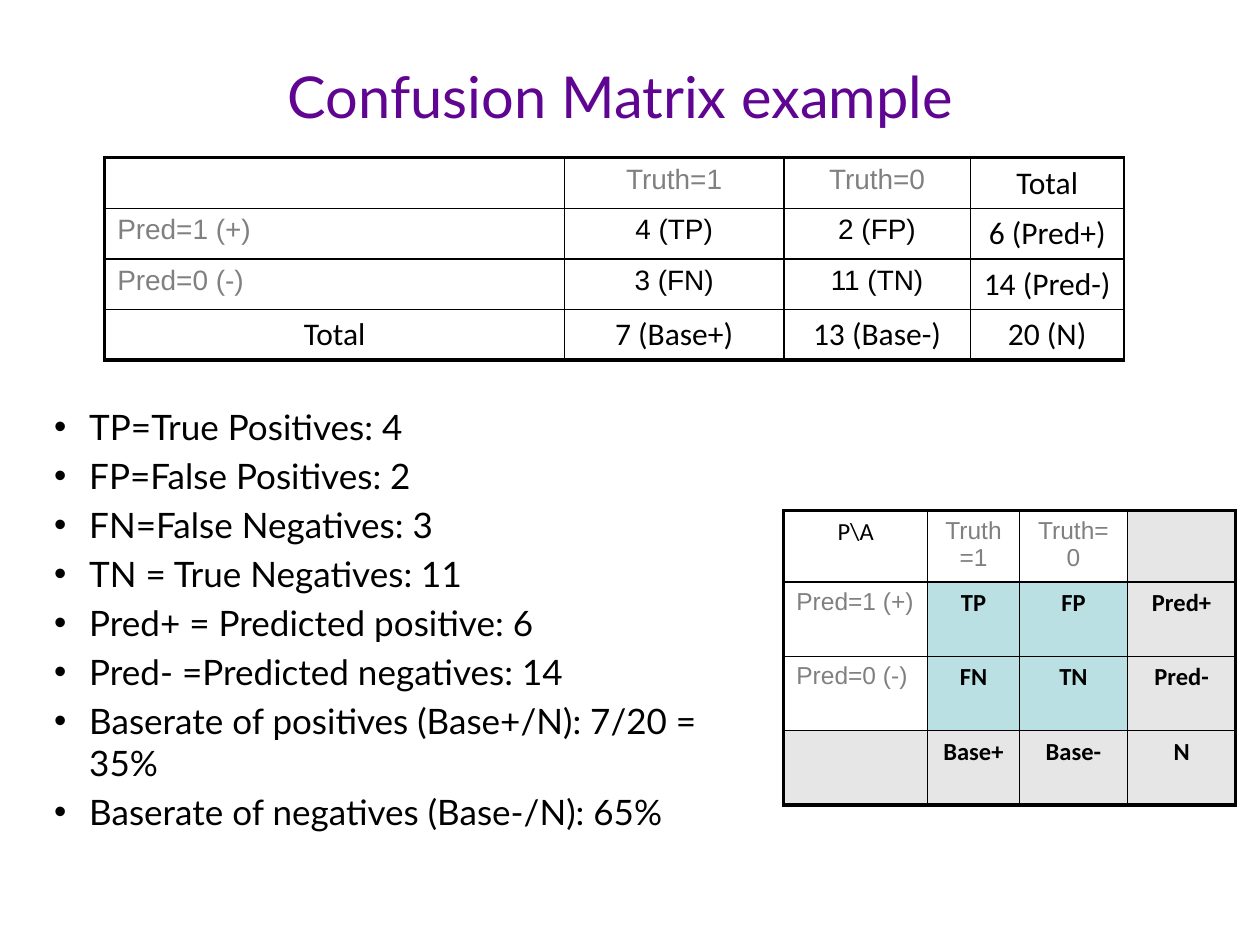
from dataclasses import dataclass

import pptx
import pptx.dml.color
import pptx.enum.text
import pptx.oxml.ns
import pptx.util
from lxml import etree

Cm = pptx.util.Cm
Pt = pptx.util.Pt
RGBColor = pptx.dml.color.RGBColor
Align = pptx.enum.text.PP_ALIGN
Anchor = pptx.enum.text.MSO_ANCHOR
qn = pptx.oxml.ns.qn

BLACK = RGBColor(0x00, 0x00, 0x00)
GRAY = RGBColor(0x80, 0x80, 0x80)
PURPLE = RGBColor(0x60, 0x05, 0x92)
PALE_GRAY = RGBColor(0xE6, 0xE6, 0xE6)
PALE_TEAL = RGBColor(0xBB, 0xE0, 0xE3)

THIN, THICK = Pt(1), Pt(2.25)


@dataclass(frozen=True)
class Style:
    font: str
    size: float
    color: RGBColor = BLACK
    bold: bool = False
    align: Align = Align.CENTER
    fill: RGBColor | None = None


@dataclass(frozen=True)
class Matrix:
    left: float
    top: float
    columns: list[float]
    rows: list[float]
    cells: list[list[tuple[str, Style]]]
    right_border: int


TITLE = Style("Lato", 33, PURPLE)
BULLET = Style("Lato", 20, align=Align.LEFT)

TRUTH = Style("Arial", 16, GRAY)
PREDICTION = Style("Arial", 16, GRAY, align=Align.LEFT)
COUNT = Style("Arial", 16)
TOTAL = Style("Calibri", 18)

KEY_CORNER = Style("Calibri", 14)
KEY_TRUTH = Style("Arial", 14, GRAY)
KEY_PREDICTION = Style("Arial", 14, GRAY, align=Align.LEFT)
KEY_OUTCOME = Style("Calibri", 14, bold=True, fill=PALE_TEAL)
KEY_TOTAL = Style("Calibri", 14, bold=True, fill=PALE_GRAY)

COUNTS = Matrix(
    2.11, 3.18, [9.27, 4.42, 3.76, 3.1], [1.02] * 4,
    [
        [("", TOTAL), ("Truth=1", TRUTH), ("Truth=0", TRUTH), ("Total", TOTAL)],
        [("Pred=1 (+)", PREDICTION), ("4 (TP)", COUNT), ("2 (FP)", COUNT), ("6 (Pred+)", TOTAL)],
        [("Pred=0 (-)", PREDICTION), ("3 (FN)", COUNT), ("11 (TN)", COUNT), ("14 (Pred-)", TOTAL)],
        [(text, TOTAL) for text in ("Total", "7 (Base+)", "13 (Base-)", "20 (N)")],
    ],
    THIN,
)
KEY = Matrix(
    15.8, 10.29, [2.9, 1.85, 2.18, 2.18], [0.89] + [1.5] * 3,
    [
        [("P\\A", KEY_CORNER), ("Truth=1", KEY_TRUTH), ("Truth=0", KEY_TRUTH), ("", KEY_TOTAL)],
        [("Pred=1 (+)", KEY_PREDICTION), ("TP", KEY_OUTCOME), ("FP", KEY_OUTCOME), ("Pred+", KEY_TOTAL)],
        [("Pred=0 (-)", KEY_PREDICTION), ("FN", KEY_OUTCOME), ("TN", KEY_OUTCOME), ("Pred-", KEY_TOTAL)],
        [(text, KEY_TOTAL) for text in ("", "Base+", "Base-", "N")],
    ],
    THICK,
)

BULLETS = [
    "TP=True Positives: 4",
    "FP=False Positives: 2",
    "FN=False Negatives: 3",
    "TN = True Negatives: 11",
    "Pred+ = Predicted positive: 6",
    "Pred- =Predicted negatives: 14",
    "Baserate of positives (Base+/N): 7/20 = 35%",
    "Baserate of negatives (Base-/N): 65%",
]


def write(paragraph, text: str, style: Style) -> None:
    paragraph.alignment = style.align
    if not text:
        paragraph.font.size = Pt(style.size)
        return
    run = paragraph.add_run()
    run.text = text
    run.font.name = style.font
    run.font.size = Pt(style.size)
    run.font.bold = style.bold
    run.font.color.rgb = style.color


def add_bullet(paragraph) -> None:
    properties = paragraph._p.get_or_add_pPr()
    properties.set("marL", str(Cm(0.71)))
    properties.set("indent", str(-Cm(0.71)))
    etree.SubElement(properties, qn("a:buFont"), typeface="Arial")
    etree.SubElement(properties, qn("a:buChar"), char="•")


def add_text_frame(slide, left: float, top: float, width: float, height: float):
    text_box = slide.shapes.add_textbox(Cm(left), Cm(top), Cm(width), Cm(height))
    text_box.text_frame.word_wrap = True
    return text_box.text_frame


def set_borders(cell, widths: dict[str, int]) -> None:
    """Draw black borders; widths is keyed by side in schema order L, R, T, B."""
    properties = cell._tc.get_or_add_tcPr()
    for side, width in widths.items():
        line = etree.SubElement(properties, qn(f"a:ln{side}"), w=str(width))
        fill = etree.SubElement(line, qn("a:solidFill"))
        etree.SubElement(fill, qn("a:srgbClr"), val=str(BLACK))


def add_matrix(slide, matrix: Matrix) -> None:
    last_row, last_column = len(matrix.rows) - 1, len(matrix.columns) - 1
    table = slide.shapes.add_table(
        len(matrix.rows), len(matrix.columns), Cm(matrix.left), Cm(matrix.top),
        Cm(sum(matrix.columns)), Cm(sum(matrix.rows)),
    ).table
    table.first_row = False
    table.horz_banding = False
    for column, width in zip(table.columns, matrix.columns):
        column.width = Cm(width)
    for row, height in zip(table.rows, matrix.rows):
        row.height = Cm(height)
    for i, row_cells in enumerate(matrix.cells):
        for j, (text, style) in enumerate(row_cells):
            cell = table.cell(i, j)
            write(cell.text_frame.paragraphs[0], text, style)
            set_borders(cell, {
                "L": THICK if j == 0 else THIN,
                "R": matrix.right_border if j == last_column else THIN,
                "T": THICK if i == 0 else THIN,
                "B": THICK if i == last_row else THIN,
            })
            if style.fill is None:
                cell.fill.background()
            else:
                cell.fill.solid()
                cell.fill.fore_color.rgb = style.fill


def main() -> None:
    presentation = pptx.Presentation()
    presentation.slide_width, presentation.slide_height = Cm(25.4), Cm(19.05)
    slide = presentation.slides.add_slide(presentation.slide_layouts[6])

    title = add_text_frame(slide, 0.84, 1.07, 23.34, 1.7)
    title.vertical_anchor = Anchor.MIDDLE
    write(title.paragraphs[0], "Confusion Matrix example", TITLE)

    body = add_text_frame(slide, 0.84, 8.05, 14.15, 10.39)
    for index, text in enumerate(BULLETS):
        paragraph = body.add_paragraph() if index else body.paragraphs[0]
        add_bullet(paragraph)
        if index:
            paragraph.space_before = Pt(4)
        write(paragraph, text, BULLET)

    add_matrix(slide, COUNTS)
    add_matrix(slide, KEY)
    presentation.save("out.pptx")


if __name__ == "__main__":
    main()
